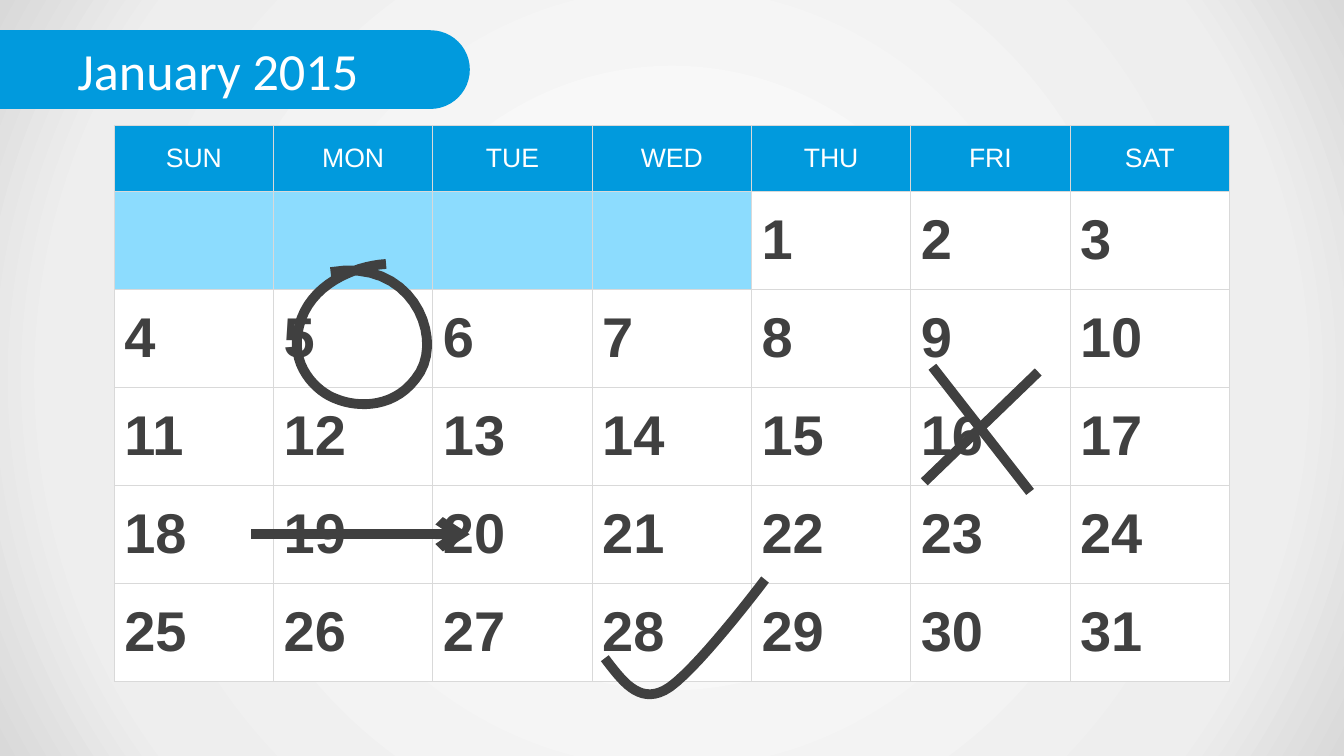
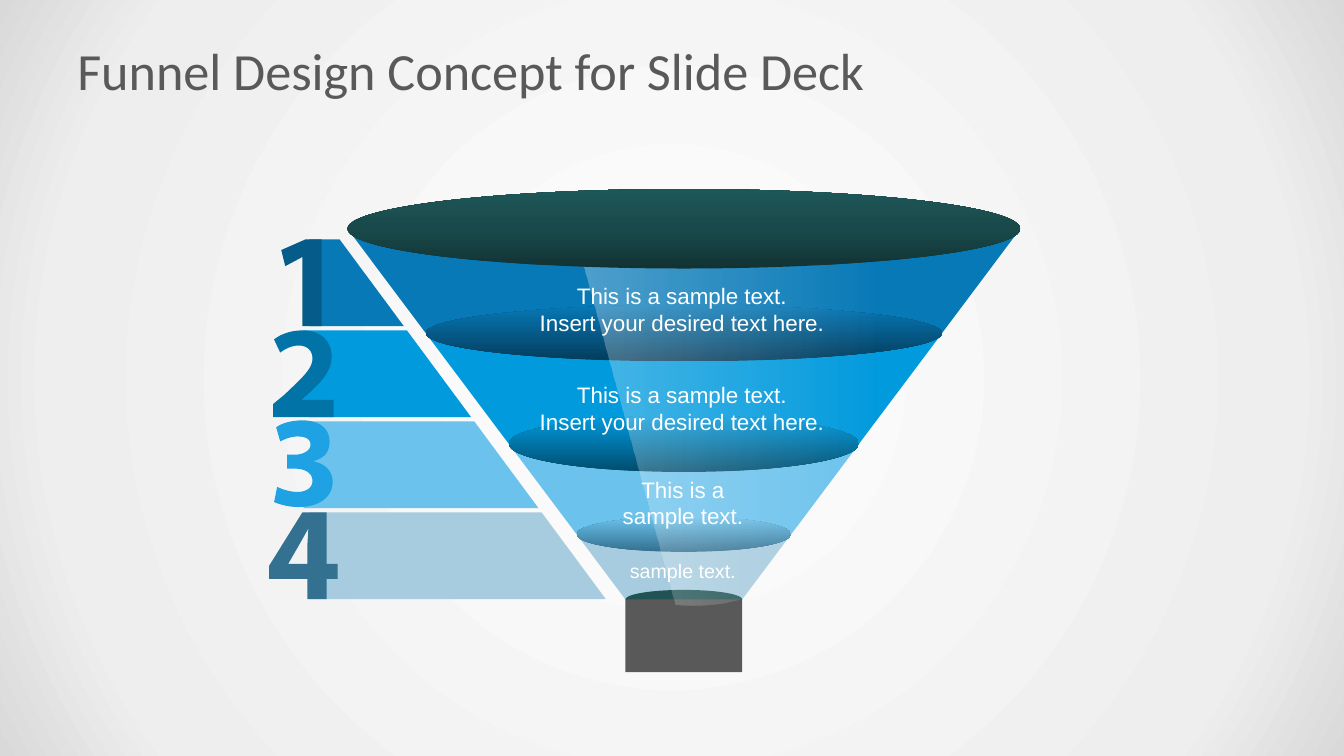
from dataclasses import dataclass
from typing import Optional

from pptx import Presentation
from pptx.dml.color import RGBColor
from pptx.enum.shapes import MSO_CONNECTOR, MSO_SHAPE
from pptx.enum.text import MSO_ANCHOR, MSO_AUTO_SIZE, PP_ALIGN
from pptx.oxml import parse_xml
from pptx.oxml.ns import nsdecls, qn
from pptx.util import Pt

HEX = {
    "white": "FFFFFF", "pale": "EEEEEE", "rule": "D9D9D9",
    "ink": "404040", "grey": "595959", "blue": "019ADD",
    "empty": "8CDCFE", "deep": "0779B7", "sky": "6BC2ED",
    "mist": "A7CCDF", "navy": "043C5C", "ocean": "004D6E",
    "steel": "34708F", "pine": "225354", "one": "055B89",
    "two": "0173A6", "three": "1EA2E4", "rim": "123334",
    "rim mid": "19494A", "rim top": "1E5758",
}
STROKE = 7

# A point is (x, y); a curve is (x1, y1, x2, y2, x, y).
Path = list[tuple[float, ...]]
Stop = tuple[int, str, int]  # place, colour, opacity, both in percent


@dataclass
class Layer:
    top: float
    depth: float  # height of the ellipse on the layer's top edge
    color: str
    stops: list[Stop]


@dataclass
class Step:
    color: str
    left: Path
    ink: str
    digit: list[Path]


@dataclass
class Label:
    left: float
    top: float
    width: float
    height: float
    size: int
    lines: list[str]


def rgb(name: str) -> RGBColor:
    return RGBColor.from_string(HEX[name])


def fade(stops: list[Stop], angle: Optional[int] = None):
    """Gradient fill: linear at an angle, or round when there is none."""
    marks = "".join(
        f'<a:gs pos="{pos * 1000}"><a:srgbClr val="{HEX[color]}">'
        f'<a:alpha val="{alpha * 1000}"/></a:srgbClr></a:gs>'
        for pos, color, alpha in stops)
    if angle is None:
        mode = ('<a:path path="circle"><a:fillToRect l="50000" t="50000" '
                'r="50000" b="50000"/></a:path>')
    else:
        mode = f'<a:lin ang="{angle * 60000}" scaled="0"/>'
    return parse_xml(f'<a:gradFill {nsdecls("a")} rotWithShape="1">'
                     f'<a:gsLst>{marks}</a:gsLst>{mode}</a:gradFill>')


def paint(shape, color: str = "white", stops: Optional[list[Stop]] = None,
          angle: int = 270):
    """Fill a shape with a colour or a gradient, with no line or shadow."""
    shape.shadow.inherit = False
    shape.line.fill.background()
    shape.fill.solid()
    shape.fill.fore_color.rgb = rgb(color)
    if stops:
        props = shape.element.spPr
        props.replace(props.find(qn("a:solidFill")), fade(stops, angle))
    return shape


def preset(slide, kind, left: float, top: float, width: float, height: float):
    return slide.shapes.add_shape(kind, Pt(left), Pt(top), Pt(width), Pt(height))


def flat(path: Path, parts: int = 16) -> Path:
    """Turn each curve of a path into short straight pieces."""
    out: Path = []
    for item in path:
        if len(item) == 2:
            out.append(item)
            continue
        x0, y0 = out[-1]
        x1, y1, x2, y2, x3, y3 = item
        for i in range(1, parts + 1):
            t = i / parts
            a, b, c, d = (1 - t) ** 3, 3 * t * (1 - t) ** 2, 3 * t * t * (1 - t), t ** 3
            out.append((a * x0 + b * x1 + c * x2 + d * x3,
                        a * y0 + b * y1 + c * y2 + d * y3))
    return out


def outline(slide, paths: list[Path], dx: float = 0, dy: float = 0,
            close: bool = True):
    build = None
    for path in paths:
        dots = [(Pt(x + dx), Pt(y + dy)) for x, y in flat(path)]
        if build is None:
            build = slide.shapes.build_freeform(*dots[0], scale=1.0)
        else:
            build.move_to(*dots[0])
        build.add_line_segments(dots[1:], close=close)
    return build.convert_to_shape()


def pen(shape) -> None:
    shape.line.color.rgb = rgb("ink")
    shape.line.width = Pt(STROKE)


def sketch(slide, path: Path) -> None:
    shape = outline(slide, [path], close=False)
    shape.shadow.inherit = False
    shape.fill.background()
    pen(shape)


def stroke(slide, x1: float, y1: float, x2: float, y2: float,
           arrow: bool = False) -> None:
    line = slide.shapes.add_connector(
        MSO_CONNECTOR.STRAIGHT, Pt(x1), Pt(y1), Pt(x2), Pt(y2))
    pen(line)
    props = line.element.spPr
    if arrow:
        props.find(qn("a:ln")).append(
            parse_xml(f'<a:tailEnd {nsdecls("a")} type="arrow"/>'))
    props.append(parse_xml(f'<a:effectLst {nsdecls("a")}/>'))


def style(para, size: float, color: str, face: str = "Arial",
          align=PP_ALIGN.CENTER, bold: bool = False) -> None:
    para.alignment = align
    para.font.name = face
    para.font.size = Pt(size)
    para.font.bold = bold
    para.font.color.rgb = rgb(color)


def head(slide, text: str, color: str) -> None:
    title = slide.shapes.title
    title.left, title.top, title.width, title.height = Pt(48), Pt(21.6), Pt(864), Pt(56.2)
    frame = title.text_frame
    frame.text = text
    frame.vertical_anchor = MSO_ANCHOR.MIDDLE
    frame.auto_size = MSO_AUTO_SIZE.NONE
    style(frame.paragraphs[0], 37.3, color, "Calibri", PP_ALIGN.LEFT)


# Calendar
DAYS = ["SUN", "MON", "TUE", "WED", "THU", "FRI", "SAT"]
FIRST, LAST, WEEKS = 4, 31, 5  # column of day 1, last day, rows of days


def fill(cell, text: str, color: str) -> None:
    cell.fill.solid()
    cell.fill.fore_color.rgb = rgb(color)
    cell.vertical_anchor = MSO_ANCHOR.MIDDLE
    cell.text = text
    props = cell._tc.get_or_add_tcPr()
    for i, side in enumerate("LRTB"):
        props.insert(i, parse_xml(
            f'<a:ln{side} {nsdecls("a")} w="{Pt(0.75)}"><a:solidFill>'
            f'<a:srgbClr val="{HEX["rule"]}"/></a:solidFill></a:ln{side}>'))


def month(slide) -> None:
    # Title tab, with its round end to the right
    tab = paint(preset(slide, MSO_SHAPE.ROUND_2_SAME_RECTANGLE,
                       139.7, -118.1, 56.2, 335.6), "blue")
    tab.adjustments[0], tab.adjustments[1] = 0.5, 0
    tab.rotation = 90
    # The title lies over the tab
    slide.shapes.title.element.getparent().append(slide.shapes.title.element)
    head(slide, "January 2015", "white")

    # Grid of days
    grid = slide.shapes.add_table(WEEKS + 1, len(DAYS), Pt(81.6), Pt(89.5),
                                  Pt(796.6), Pt(397)).table
    grid.first_row = grid.horz_banding = False
    for col in grid.columns:
        col.width = Pt(113.8)
    for i, row in enumerate(grid.rows):
        row.height = Pt(70 if i else 47)
    for i, name in enumerate(DAYS):
        cell = grid.cell(0, i)
        fill(cell, name, "blue")
        style(cell.text_frame.paragraphs[0], 19, "white")
        for week in range(WEEKS):
            day = week * len(DAYS) + i - FIRST + 1
            cell, shown = grid.cell(week + 1, i), 1 <= day <= LAST
            fill(cell, str(day) if shown else "", "white" if shown else "empty")
            style(cell.text_frame.paragraphs[0], 40, "ink",
                  align=PP_ALIGN.LEFT, bold=True)

    # Hand marks: ring, tick, cross, arrow
    sketch(slide, [(236.2, 194.4), (293, 184.3, 316.1, 238.3, 300.2, 265.7),
                   (283.7, 293, 254.9, 290.9, 240.5, 285.1),
                   (226.1, 280.1, 205.9, 260.6, 213.8, 232.6),
                   (221, 203.8, 252, 190.1, 275.8, 188.6)])
    sketch(slide, [(432, 470.2), (444.2, 486, 455.8, 502.6, 474.5, 493.2),
                   (493.9, 483.8, 546.5, 414, 546.5, 414)])
    stroke(slide, 666, 262, 735.8, 351.4)
    stroke(slide, 660.2, 344.2, 741.6, 265.7)
    stroke(slide, 179.3, 381.6, 335.5, 381.6, arrow=True)


# Funnel
MID, TOP, BASE = 488.5, 163.4, 428.2
LAYERS = [
    Layer(TOP, 56.8, "deep", [(0, "rim", 100), (50, "rim mid", 100), (100, "rim top", 100)]),
    Layer(238, 40.3, "blue", [(0, "navy", 100), (100, "deep", 100)]),
    Layer(317, 40.3, "sky", [(0, "ocean", 100), (100, "blue", 100)]),
    Layer(381.6, 25.2, "mist", [(0, "steel", 100), (100, "sky", 100)]),
]
GLOSS = [(416.9, 189.4), (482.4, 432), (482.4, 432, 509.8, 435.6, 534.2, 426.2),
         (728.6, 166.3), (728.6, 166.3, 524.9, 196.6, 416.9, 189.4)]

# Steps: left edges and digits are measured from (SIDE, top of the step)
SIDE, START, PITCH, TALL = 190, 171, 65, 62
STEPS = [
    Step("deep", [(31, 0), (31, TALL)], "one", [[
        (26, 12.6), (13.8, 19.1), (10.9, 7.6), (28.2, 0), (39.7, 0), (39.7, TALL),
        (26, TALL)]]),
    Step("blue", [(26.7, 0), (39.7, 21), (21, 48), (31, TALL)], "two", [[
        (5.1, TALL), (5.1, 52.6), (13, 46.1), (26, 33.8, 33.2, 27.4, 33.2, 20.2),
        (33.2, 15.1, 30.3, 10.8, 23.1, 10.8), (18.1, 10.8, 13, 13.7, 10.2, 15.8),
        (5.8, 6.5), (10.2, 2.9, 17.4, 0, 26, 0), (39.7, 0, 46.9, 7.9, 46.9, 18.7),
        (46.9, 28.8, 39.7, 36.7, 31, 44.6), (25.3, 49.7), (48.3, 49.7), (48.3, TALL)]]),
    Step("sky", [(31, 0), (34.6, 16.6), (31, 28.8), (36, 43.2), (26.7, TALL)], "three", [[
        (8, 46.8), (10.9, 48.2, 16.6, 50.4, 22.4, 50.4),
        (29.6, 50.4, 33.2, 46.8, 33.2, 42.5), (33.2, 36.7, 27.4, 33.8, 21, 33.8),
        (15.2, 33.8), (15.2, 23.8), (21, 23.8), (25.3, 23.8, 31.8, 21.6, 31.8, 16.6),
        (31.8, 13, 28.9, 10.8, 22.4, 10.8), (18.1, 10.8, 12.3, 13, 10.2, 14.4),
        (7.3, 4.3), (10.9, 1.4, 18.1, -0.7, 26, -0.7), (39, -0.7, 45.4, 5.8, 45.4, 14.4),
        (45.4, 20.9, 42.6, 25.9, 34.6, 28.1), (34.6, 28.8),
        (41.8, 30.2, 47.6, 35.3, 47.6, 43.2), (47.6, 54, 38.2, 61.2, 23.1, 61.2),
        (15.9, 61.2, 8.7, 59, 5.8, 57.6)]]),
    Step("mist", [(31, 0), (31, TALL)], "steel", [
        [(29.6, TALL), (29.6, 47.5), (2.2, 47.5), (2.2, 38.2), (26, 0), (43.3, 0),
         (43.3, 36.7), (51.2, 36.7), (51.2, 47.5), (43.3, 47.5), (43.3, TALL)],
        [(29.6, 36.7), (29.6, 23), (30.3, 11.5), (23.8, 23), (15.9, 36.7)]]),
]
SAMPLE = "This is a sample text."
PAIR = [SAMPLE, "Insert your desired text here."]
LABELS = [
    Label(374.4, 198, 225.4, 46, 16, PAIR),
    Label(374.4, 268.6, 225.4, 46, 16, PAIR),
    Label(436.3, 336.2, 103, 46, 16, [SAMPLE]),
    Label(436.3, 396, 103, 24.2, 14, ["sample text."]),
]


def half(y: float) -> float:
    """Half the width of the funnel at a height."""
    return 240.3 - 0.75 * (y - TOP)


def edge(y: float) -> float:
    """Right end of a step, measured from SIDE."""
    return 52.6 + 0.74 * y


def ridge(slide, y: float, depth: float):
    return preset(slide, MSO_SHAPE.OVAL, MID - half(y), y - depth / 2, 2 * half(y), depth)


def funnel(slide) -> None:
    head(slide, "Funnel Design Concept for Slide Deck", "grey")

    # Body and inner ellipses
    ends = [layer.top for layer in LAYERS[1:]] + [BASE]
    for layer, end in zip(LAYERS, ends):
        a, b = half(layer.top), half(end)
        paint(outline(slide, [[(-a, layer.top), (a, layer.top), (b, end), (-b, end)]], MID),
              layer.color)
    for layer in LAYERS[1:]:
        paint(ridge(slide, layer.top, layer.depth), stops=layer.stops)

    # Spout
    paint(ridge(slide, BASE, 13.7), "pine")
    paint(preset(slide, MSO_SHAPE.RECTANGLE, MID - half(BASE), BASE, 2 * half(BASE), 52),
          "grey")

    # Numbered steps
    for i, step in enumerate(STEPS):
        rise = i * PITCH
        bar = step.left + [(edge(rise + TALL), TALL), (edge(rise), 0)]
        paint(outline(slide, [bar], SIDE, START + rise), step.color)
        paint(outline(slide, step.digit, SIDE, START + rise), step.ink)

    # Gloss, rim and labels
    paint(outline(slide, [GLOSS]), stops=[(0, "white", 28), (67, "white", 0)], angle=0)
    paint(ridge(slide, TOP, LAYERS[0].depth), stops=LAYERS[0].stops)
    for label in LABELS:
        frame = slide.shapes.add_textbox(Pt(label.left), Pt(label.top), Pt(label.width),
                                         Pt(label.height)).text_frame
        frame.word_wrap = True
        frame.auto_size = MSO_AUTO_SIZE.SHAPE_TO_FIT_TEXT
        frame.text = "\n".join(label.lines)
        for para in frame.paragraphs:
            style(para, label.size, "white")


def main() -> None:
    deck = Presentation()
    deck.slide_width, deck.slide_height = Pt(960), Pt(540)
    # Shared backdrop
    master = deck.slide_master
    master.background.fill.solid()
    props = master.element.find(".//" + qn("p:bgPr"))
    props.replace(props[0], fade([(0, "white", 100), (81, "pale", 100), (100, "rule", 100)]))
    for draw in (month, funnel):
        draw(deck.slides.add_slide(deck.slide_layouts[5]))
    deck.save("out.pptx")


if __name__ == "__main__":
    main()
